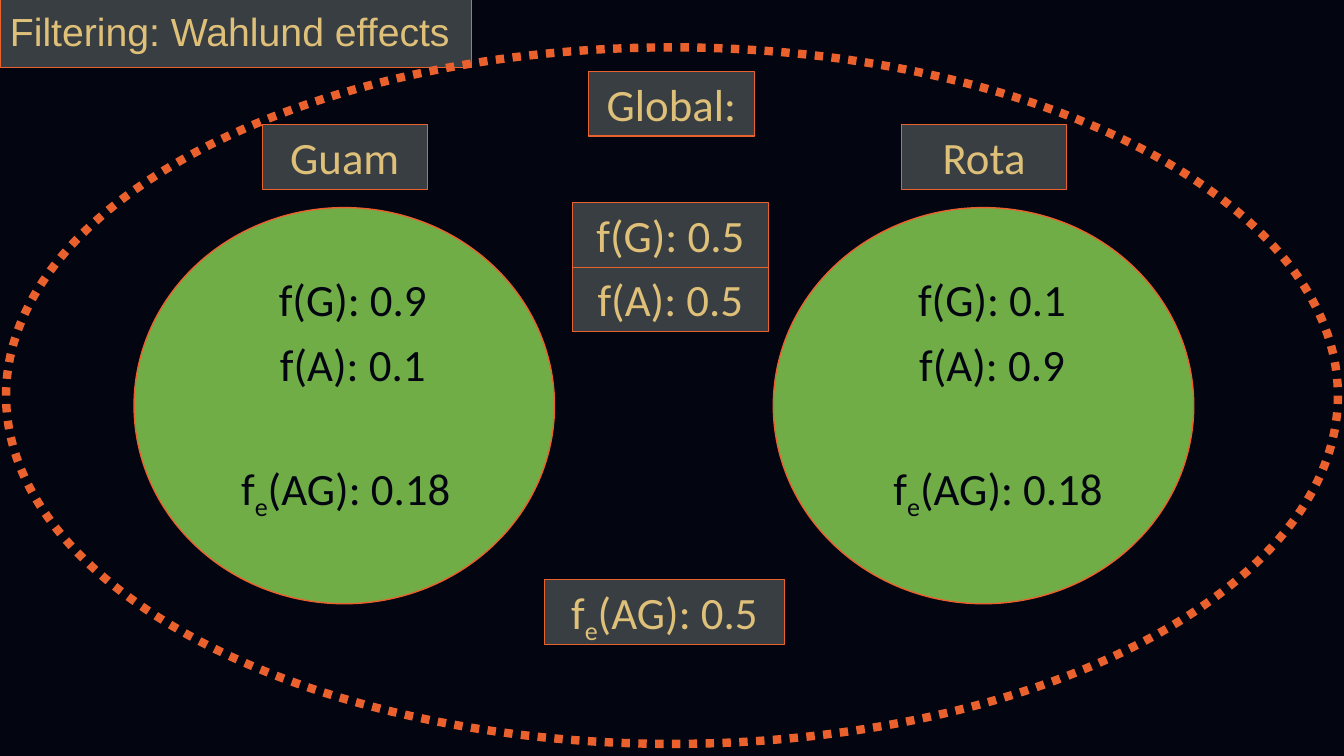
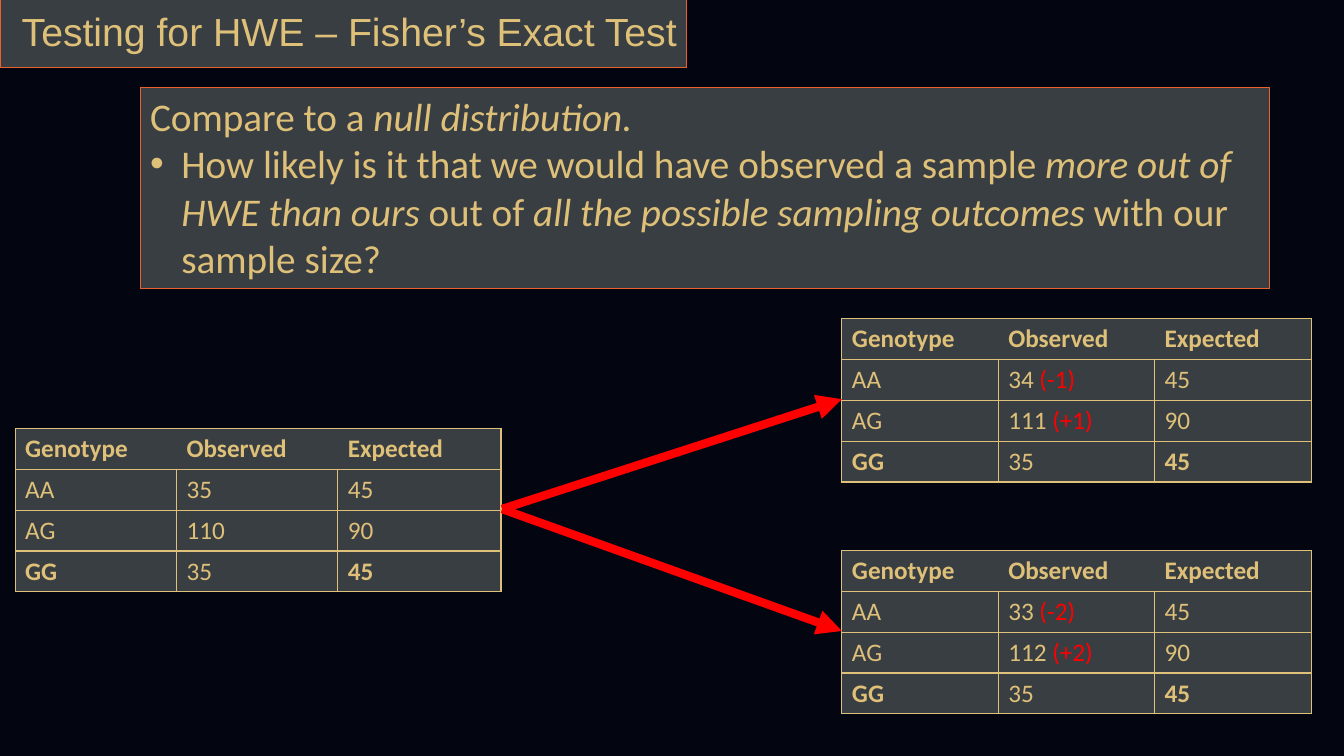
import pptx
import pptx.dml.color
import pptx.enum.dml
import pptx.enum.shapes
import pptx.enum.text
import pptx.oxml.ns
import pptx.util
from lxml import etree

Inches = pptx.util.Inches
Pt = pptx.util.Pt
RGBColor = pptx.dml.color.RGBColor
SHAPE = pptx.enum.shapes.MSO_SHAPE
ALIGN = pptx.enum.text.PP_ALIGN
ANCHOR = pptx.enum.text.MSO_ANCHOR
qn = pptx.oxml.ns.qn

NIGHT = RGBColor(0x03, 0x05, 0x11)
SLATE = RGBColor(0x39, 0x3E, 0x42)
ORANGE = RGBColor(0xEB, 0x61, 0x2E)
SAND = RGBColor(0xDE, 0xC0, 0x79)
GREEN = RGBColor(0x70, 0xAD, 0x47)
RED = RGBColor(0xFF, 0x00, 0x00)

LABEL_H = 0.64
FREQ_W = 1.94
HET_W = 2.38
NAME_W = 1.64
ROW_H = 0.4


def write(paragraph, parts, size, color, font="Calibri", bold=False):
    for part in [parts] if isinstance(parts, str) else parts:
        text, style = (part, None) if isinstance(part, str) else part
        run = paragraph.add_run()
        run.text = text
        run.font.name = font
        run.font.size = Pt(size)
        run.font.bold = bold
        run.font.italic = style == "italic"
        run.font.color.rgb = RED if style == "red" else color
        if style == "sub":
            run.font._element.set("baseline", "-25000")


def add_panel(slide, box, fill=SLATE, line=ORANGE, weight=0.75, kind=SHAPE.RECTANGLE):
    panel = slide.shapes.add_shape(kind, *map(Inches, box))
    panel.shadow.inherit = False
    if fill is None:
        panel.fill.background()
    else:
        panel.fill.solid()
        panel.fill.fore_color.rgb = fill
    if line is None:
        panel.line.fill.background()
    else:
        panel.line.color.rgb = line
        panel.line.width = Pt(weight)
    panel.text_frame.word_wrap = True
    panel.text_frame.vertical_anchor = ANCHOR.TOP
    return panel


def add_label(slide, left, top, width, parts, fill=SLATE, line=ORANGE, color=SAND):
    label = add_panel(slide, (left, top, width, LABEL_H), fill, line)
    paragraph = label.text_frame.paragraphs[0]
    paragraph.alignment = ALIGN.CENTER
    write(paragraph, parts, 32, color)


def start_slide(deck, title, title_width, align):
    slide = deck.slides.add_slide(deck.slide_layouts[6])
    slide.background.fill.solid()
    slide.background.fill.fore_color.rgb = NIGHT
    band = add_panel(slide, (0, 0, title_width, 0.67))
    band.text_frame.vertical_anchor = ANCHOR.MIDDLE
    paragraph = band.text_frame.paragraphs[0]
    paragraph.alignment = align
    paragraph.line_spacing = 0.9
    write(paragraph, title, 28, SAND, "Arial")
    return slide


def heterozygotes(value):
    return ["f", ("e", "sub"), f"(AG): {value}"]


def add_island(slide, left, top, name, freq_g, freq_a, het_offset):
    add_panel(slide, (left, top, 4.17, 3.93), GREEN, ORANGE, 1, SHAPE.OVAL)
    add_label(slide, left + 1.27, top - 0.82, NAME_W, name)
    facts = [
        (1.2, 0.59, FREQ_W, f"f(G): {freq_g}"),
        (1.2, 0.59 + LABEL_H, FREQ_W, f"f(A): {freq_a}"),
        (het_offset, 2.46, HET_W, heterozygotes("0.18")),
    ]
    for dx, dy, width, parts in facts:
        add_label(slide, left + dx, top + dy, width, parts, GREEN, None, NIGHT)


def add_global_pool(slide, left, top):
    outline = add_panel(slide, (left, top, 13.21, 6.91), None, ORANGE, 6, SHAPE.OVAL)
    outline.line.dash_style = pptx.enum.dml.MSO_LINE.ROUND_DOT
    add_label(slide, left + 5.78, top + 0.24, NAME_W, "Global:")
    add_label(slide, left + 5.62, top + 1.54, FREQ_W, "f(G): 0.5")
    add_label(slide, left + 5.62, top + 1.54 + LABEL_H, FREQ_W, "f(A): 0.5")
    add_label(slide, left + 5.34, top + 5.28, HET_W, heterozygotes("0.5"))


def add_question(slide, box):
    frame = add_panel(slide, box).text_frame
    intro = frame.paragraphs[0]
    intro.alignment = ALIGN.LEFT
    write(intro, ["Compare to a ", ("null distribution.", "italic")], 28, SAND)
    question = frame.add_paragraph()
    question.alignment = ALIGN.LEFT
    properties = question._p.get_or_add_pPr()
    properties.set("marL", str(Inches(0.31)))
    properties.set("indent", str(-Inches(0.31)))
    etree.SubElement(properties, qn("a:buFont")).set("typeface", "Arial")
    etree.SubElement(properties, qn("a:buChar")).set("char", "•")
    write(question, [
        "How likely is it that we would have observed a sample ",
        ("more out of HWE than ours", "italic"),
        " out of ",
        ("all the possible sampling outcomes ", "italic"),
        "with our sample size?",
    ], 28, SAND)


def set_borders(cell, hidden):
    properties = cell._tc.get_or_add_tcPr()
    for side in "LRTB":
        border = etree.SubElement(properties, qn(f"a:ln{side}"), w=str(Pt(1)))
        if side in hidden:
            etree.SubElement(border, qn("a:noFill"))
        else:
            fill = etree.SubElement(border, qn("a:solidFill"))
            etree.SubElement(fill, qn("a:srgbClr"), val=str(SAND))


def add_genotypes(slide, left, top, col_widths, aa, ag):
    rows = [
        ("Genotype", "Observed", "Expected"),
        ("AA", aa, "45"),
        ("AG", ag, "90"),
        ("GG", "35", "45"),
    ]
    frame = slide.shapes.add_table(
        len(rows), len(col_widths), Inches(left), Inches(top),
        Inches(sum(col_widths)), Inches(ROW_H * len(rows)))
    table = frame.table
    table.first_row = False
    table.horz_banding = False
    for column, width in zip(table.columns, col_widths):
        column.width = Inches(width)
    for r, row in enumerate(rows):
        table.rows[r].height = Inches(ROW_H)
        for c, parts in enumerate(row):
            cell = table.cell(r, c)
            set_borders(cell, ("R", "LR", "L")[c] if r == 0 else "")
            cell.fill.solid()
            cell.fill.fore_color.rgb = SLATE
            bold = r == 0 or (r == 3 and c != 1)
            write(cell.text_frame.paragraphs[0], parts, 18, SAND, bold=bold)


def add_arrow(slide, start, end):
    arrow = slide.shapes.add_connector(
        pptx.enum.shapes.MSO_CONNECTOR.STRAIGHT, *map(Inches, start + end))
    arrow.line.color.rgb = RED
    arrow.line.width = Pt(6)
    etree.SubElement(arrow.line._get_or_add_ln(), qn("a:tailEnd"), type="triangle")
    etree.SubElement(arrow._element.spPr, qn("a:effectLst"))


def build_wahlund(deck):
    slide = start_slide(deck, "Filtering: Wahlund effects", 4.68, ALIGN.LEFT)
    add_island(slide, 1.33, 2.06, "Guam", "0.9", "0.1", 0.91)
    add_island(slide, 7.67, 2.06, "Rota", "0.1", "0.9", 1.04)
    add_global_pool(slide, 0.06, 0.47)


def build_fisher(deck):
    slide = start_slide(
        deck, "Testing for HWE – Fisher’s Exact Test", 6.81, ALIGN.RIGHT)
    add_question(slide, (1.39, 0.87, 11.2, 1.99))
    add_genotypes(slide, 0.15, 4.25, (1.6, 1.6, 1.62), "35", "110")
    outcomes = [
        (3.16, ["34 ", ("(-1)", "red")], ["111 ", ("(+1)", "red")]),
        (5.46, ["33 ", ("(-2)", "red")], ["112 ", ("(+2)", "red")]),
    ]
    for top, aa, ag in outcomes:
        add_genotypes(slide, 8.35, top, (1.55, 1.55, 1.56), aa, ag)
        add_arrow(slide, (4.98, 5.05), (8.35, top + 2 * ROW_H))


def main():
    deck = pptx.Presentation()
    deck.slide_width = Inches(13.33)
    deck.slide_height = Inches(7.5)
    build_wahlund(deck)
    build_fisher(deck)
    deck.save("out.pptx")


if __name__ == "__main__":
    main()
